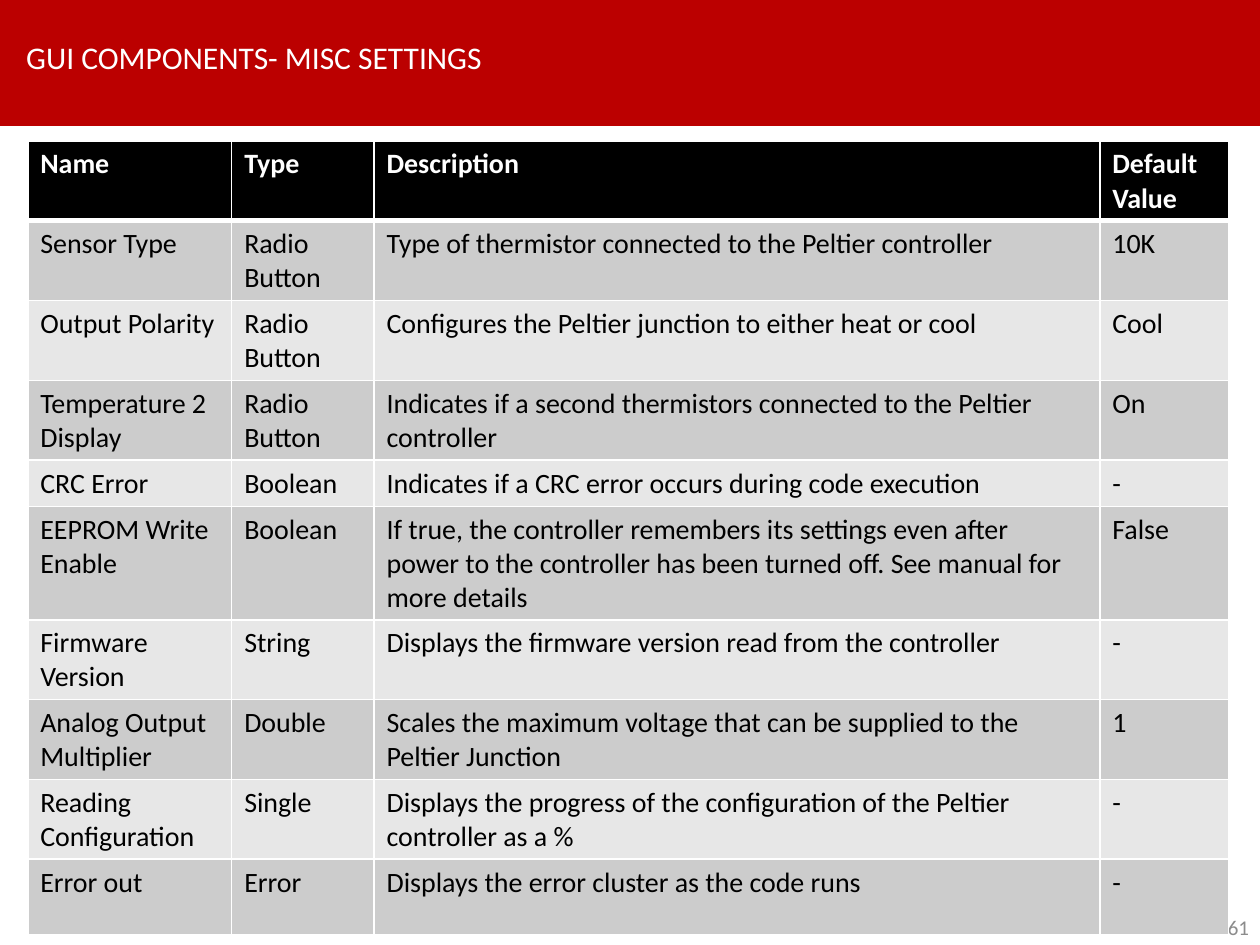
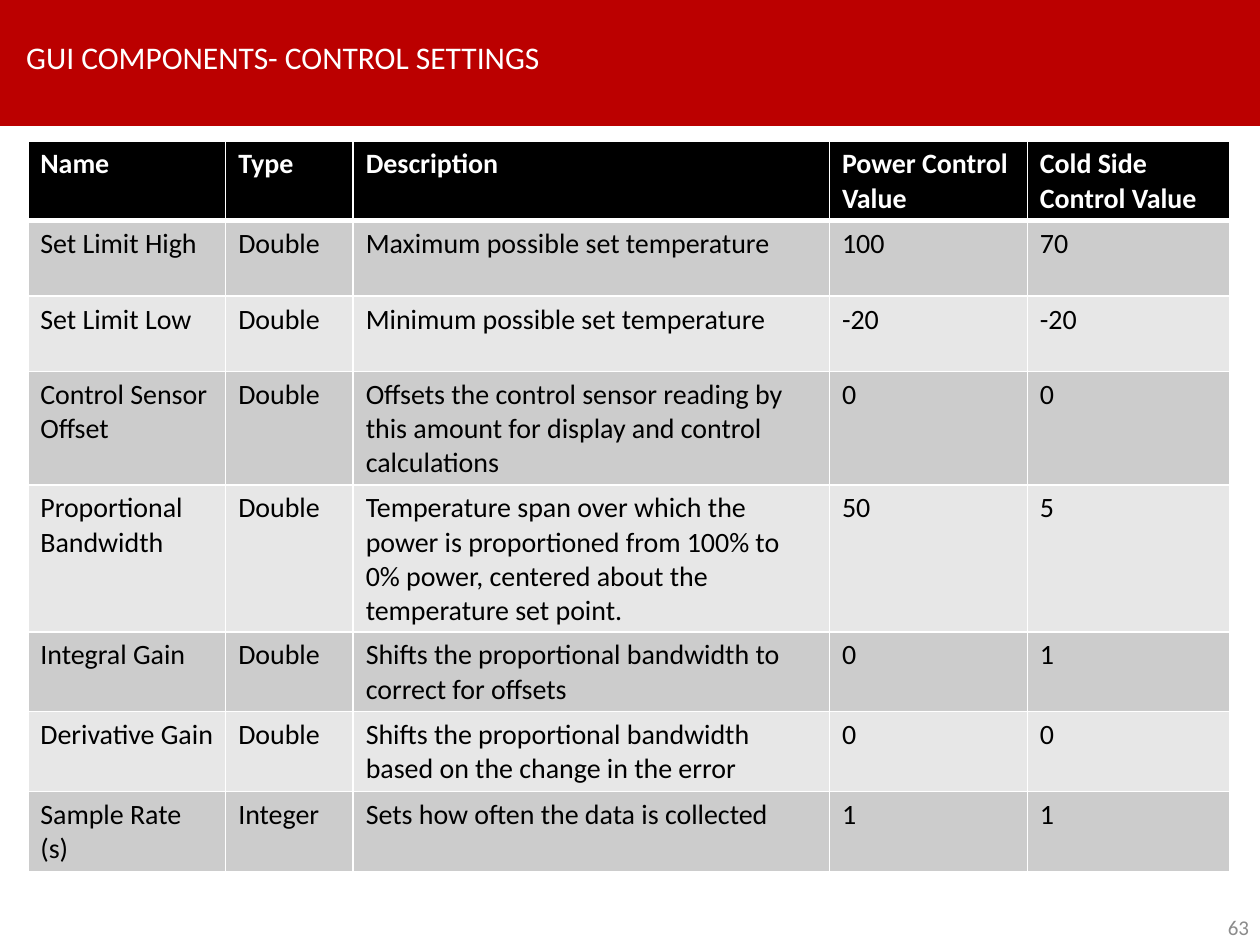
from lxml import etree
from pptx import Presentation
from pptx.dml.color import RGBColor
from pptx.enum.shapes import MSO_SHAPE
from pptx.enum.text import MSO_ANCHOR, PP_ALIGN
from pptx.oxml.ns import qn
from pptx.util import Cm, Pt

RECT = MSO_SHAPE.RECTANGLE
MIDDLE = MSO_ANCHOR.MIDDLE
LEFT, RIGHT = PP_ALIGN.LEFT, PP_ALIGN.RIGHT

FONT = "Calibri"
RED, WHITE, BLACK, GREY = "BB0000", "FFFFFF", "000000", "8C8C8C"
BANDS = ["E7E7E7", "CCCCCC"]
ROW_H, SHORT_ROW_H = 1.52, 0.74
SHORT_ROW = 4

# Content: title, page number, column widths in cm, table rows
slides = [
    ("GUI COMPONENTS- MISC SETTINGS", "61", [4.11, 2.87, 14.63, 2.59], [
        ["Name", "Type", "Description", "Default Value"],
        ["Sensor Type", "Radio Button",
         "Type of thermistor connected to the Peltier controller", "10K"],
        ["Output Polarity", "Radio Button",
         "Configures the Peltier junction to either heat or cool", "Cool"],
        ["Temperature 2 Display", "Radio Button",
         "Indicates if a second thermistors connected to the Peltier controller", "On"],
        ["CRC Error", "Boolean",
         "Indicates if a CRC error occurs during code execution", "-"],
        ["EEPROM Write Enable", "Boolean",
         "If true, the controller remembers its settings even after power to the "
         "controller has been turned off. See manual for more details", "False"],
        ["Firmware Version", "String",
         "Displays the firmware version read from the controller", "-"],
        ["Analog Output Multiplier", "Double",
         "Scales the maximum voltage that can be supplied to the Peltier Junction", "1"],
        ["Reading Configuration", "Single",
         "Displays the progress of the configuration of the Peltier controller as a %", "-"],
        ["Error out", "Error", "Displays the error cluster as the code runs", "-"],
    ]),
    ("GUI COMPONENTS- CONTROL SETTINGS", "63", [3.99, 2.57, 9.6, 3.99, 4.09], [
        ["Name", "Type", "Description", "Power Control Value", "Cold Side Control Value"],
        ["Set Limit High", "Double", "Maximum possible set temperature", "100", "70"],
        ["Set Limit Low", "Double", "Minimum possible set temperature", "-20", "-20"],
        ["Control Sensor Offset", "Double",
         "Offsets the control sensor reading by this amount for display and control "
         "calculations", "0", "0"],
        ["Proportional Bandwidth", "Double",
         "Temperature span over which the power is proportioned from 100% to 0% power, "
         "centered about the temperature set point.", "50", "5"],
        ["Integral Gain", "Double",
         "Shifts the proportional bandwidth to correct for offsets", "0", "1"],
        ["Derivative Gain", "Double",
         "Shifts the proportional bandwidth based on the change in the error", "0", "0"],
        ["Sample Rate (s)", "Integer", "Sets how often the data is collected", "1", "1"],
    ]),
]


def rgb(color):
    return RGBColor.from_string(color)


def write(tf, text, size, color, bold=False, align=LEFT):
    tf.word_wrap = True
    p = tf.paragraphs[0]
    p.text = text
    p.alignment = align
    p.font.name, p.font.size, p.font.bold = FONT, Pt(size), bold
    p.font.color.rgb = rgb(color)
    return p


prs = Presentation()
prs.slide_width, prs.slide_height = Cm(25.4), Cm(19.05)

for title, number, widths, rows in slides:
    s = prs.slides.add_slide(prs.slide_layouts[6])

    # Title band
    sp = s.shapes.add_shape(RECT, 0, 0, prs.slide_width, Cm(2.54))
    sp.shadow.inherit = False
    sp.fill.solid()
    sp.fill.fore_color.rgb = rgb(RED)
    sp.line.fill.background()

    # Title
    tf = s.shapes.add_textbox(Cm(0.28), Cm(0.28), Cm(14.7), Cm(1.85)).text_frame
    tf.vertical_anchor = MIDDLE
    p = write(tf, title, 18, WHITE)
    p.line_spacing = 0.9

    # Page number
    tf = s.shapes.add_textbox(Cm(19.99), Cm(18.34), Cm(5.44), Cm(0.71)).text_frame
    tf.vertical_anchor = MIDDLE
    write(tf, number, 12, GREY, align=RIGHT)

    # Settings table
    heights = [SHORT_ROW_H if i == SHORT_ROW else ROW_H for i in range(len(rows))]
    table = s.shapes.add_table(len(rows), len(widths), Cm(0.56), Cm(2.84),
                               Cm(sum(widths)), Cm(sum(heights))).table
    for column, width in zip(table.columns, widths):
        column.width = Cm(width)
    for i, row in enumerate(rows):
        table.rows[i].height = Cm(heights[i])
        header = i == 0
        for j, text in enumerate(row):
            cell = table.cell(i, j)
            write(cell.text_frame, text, 16, WHITE if header else BLACK, bold=header)
            cell.fill.solid()
            cell.fill.fore_color.rgb = rgb(BLACK if header else BANDS[i % 2])

            # White borders, thicker below the header
            borders = {"a:lnL": 1, "a:lnR": 1,
                       "a:lnT": 3 if i == 1 else 1, "a:lnB": 3 if header else 1}
            tcPr = cell._tc.get_or_add_tcPr()
            for k, (tag, points) in enumerate(borders.items()):
                ln = etree.Element(qn(tag), w=str(Pt(points)))
                fill = etree.SubElement(ln, qn("a:solidFill"))
                etree.SubElement(fill, qn("a:srgbClr"), val=WHITE)
                tcPr.insert(k, ln)

prs.save("out.pptx")
